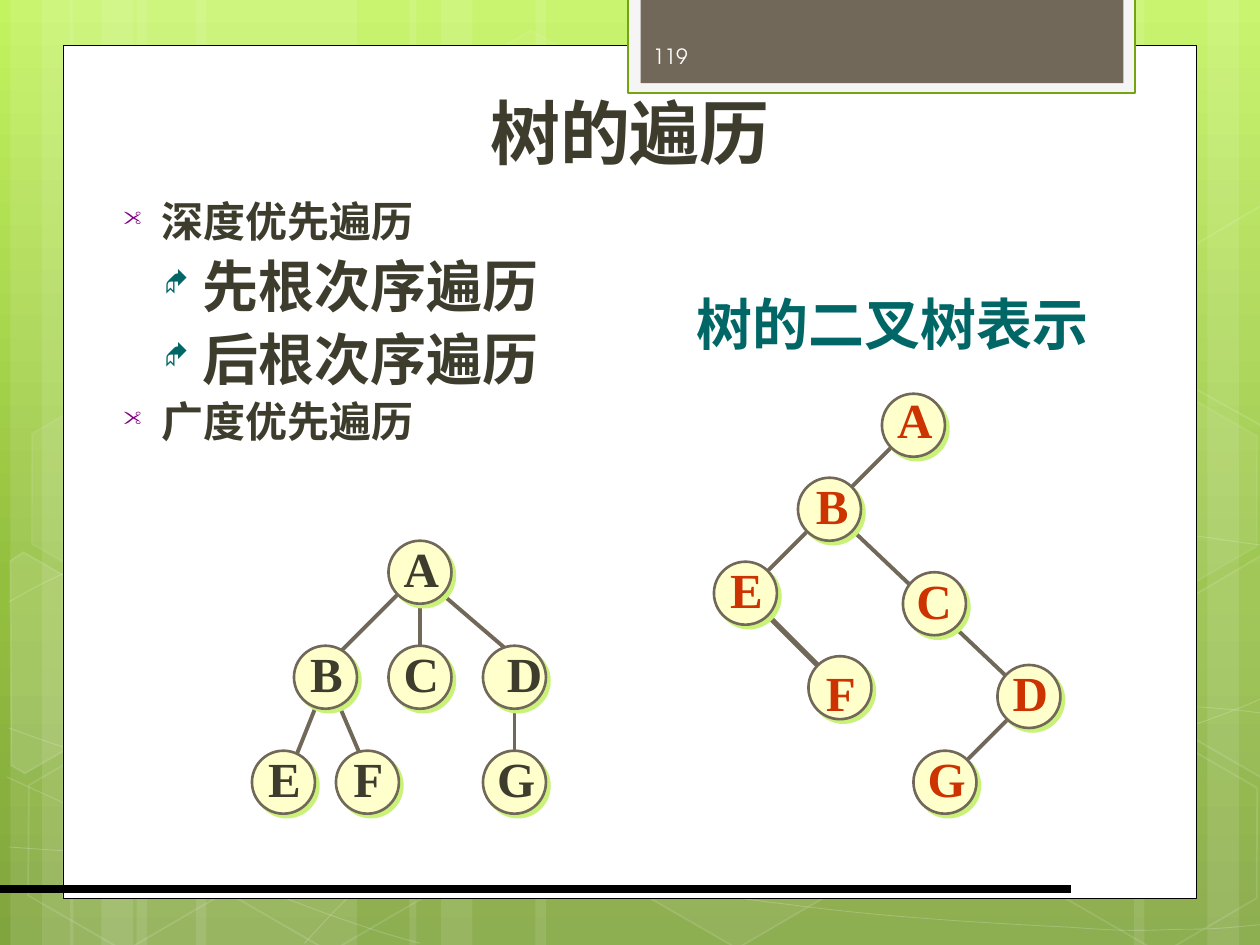
from math import cos, radians, sin

from lxml import etree
from pptx import Presentation
from pptx.dml.color import RGBColor
from pptx.enum.shapes import MSO_CONNECTOR, MSO_SHAPE
from pptx.enum.text import MSO_ANCHOR, PP_ALIGN
from pptx.oxml.ns import qn
from pptx.util import Pt

RECT, OVAL, HEXAGON = MSO_SHAPE.RECTANGLE, MSO_SHAPE.OVAL, MSO_SHAPE.HEXAGON
STRAIGHT = MSO_CONNECTOR.STRAIGHT
LEFT, CENTER = PP_ALIGN.LEFT, PP_ALIGN.CENTER
TOP, MIDDLE, BOTTOM = MSO_ANCHOR.TOP, MSO_ANCHOR.MIDDLE, MSO_ANCHOR.BOTTOM

SANS, SERIF = "TeX Gyre Adventor", "Times New Roman"
WHITE, BROWN, DARK, TEAL, RED = "FFFFFF", "71685A", "3E3D2D", "006666", "CC3300"
NODE = 36  # node diameter
TILT = 30  # rotation of the hexagons

# Background: (left, width) of the light strips
STRIPS = [(78, 126), (6, 36), (24, 60), (112, 126), (40, 36), (58, 60),
          (528, 126), (690, 36), (648, 60), (306, 222), (234, 36), (252, 60)]
# Start point, then three points for each Bezier segment
CURVES = [
    [(5, 484.5), (44, 487), (83, 489), (137, 488), (191, 487), (258, 486), (330, 479),
     (402, 472), (504, 458), (570, 444), (636, 431), (703, 409), (725, 397)],
    [(5, 343.5), (26, 332), (47, 321), (87, 310), (128, 300), (186, 284), (250, 279),
     (314, 274), (392, 273), (471, 279), (550, 284), (682, 307), (725, 312.5)],
    [(4, 444), (91, 484), (178, 523), (240, 539)],
    [(5, 416), (27, 424), (50, 432), (92, 443.5), (134, 454), (197, 472), (257, 484.5),
     (317, 497), (392, 510), (452, 517), (512, 525), (576, 528), (614, 530),
     (652, 533), (662, 531), (680, 531), (698, 531), (712, 529), (725, 528.5)],
    [(174, 539), (187, 525), (200, 510), (217, 497.5), (235, 485), (259, 470), (279, 460),
     (300, 450), (312, 446), (338, 438.5), (364, 431), (413, 421), (438, 416),
     (464, 411), (467, 411), (490, 409.5), (512, 407.5), (547, 405), (572, 404.5),
     (610, 404), (650, 404.5), (686, 404.5), (699, 405), (711, 406), (724, 407.5)],
]
# (left, top, fill opacity, line opacity)
HEXAGONS = [(240.5, 26, 4, 8), (358, 424, 6, 12), (8, 425.5, 0, 12), (10, 224.5, 7, 8),
            (125.5, 426, 0, 12), (542, 326, 10, 12), (600.5, 427, 0, 12), (600.5, 226, 7, 8)]
# Hexagons cut by the slide edge: (centre, corners as seen, fill opacity)
CUT_HEXAGONS = [
    ((25.9, 385.2), [(6, 320.5), (13.5, 315.5), (69, 347), (68.5, 410.5), (14.5, 442),
                     (6, 437)], 10),
    ((709.2, 374.4), [(666.5, 349), (720.5, 317.5), (726.5, 321), (726.5, 441.5),
                      (721.5, 444), (666.5, 412.5)], 4),
    ((709.2, 173.5), [(666.5, 149), (720.5, 117.5), (727, 121), (726.5, 241),
                      (721.5, 244), (666.5, 212.5)], 0),
]

# Trees: (letter, centre x, centre y, label shift x, label shift y)
TREE = [("A", 240, 327, 0.5, -2.5), ("B", 186, 387, 0.5, -2.5), ("C", 240, 387, 0.5, -2.5),
        ("D", 294, 387, 5.5, -2.5), ("E", 162, 447, 0.5, -2.5), ("F", 210, 447, 0.5, -2.5),
        ("G", 294, 447, 0, -2.5)]
BINARY_TREE = [("A", 522, 243, 0.5, -3.5), ("B", 474, 291, 1.5, -2.5),
               ("C", 534, 345, -0.5, -2), ("D", 588, 398, 0.5, -2.5),
               ("E", 426, 339, 0.5, -2.5), ("F", 480, 393, 0.5, 2.5),
               ("G", 540, 447, 0, -2.5)]
# (x1, y1, x2, y2, width)
EDGES = [(432, 345, 468, 381, 3), (582, 405, 546, 441, 2.25), (294, 399, 294, 435, 2.25),
         (192, 399, 210, 441, 2.25), (180, 405, 168, 435, 2.25), (252, 339, 294, 375, 2.25),
         (240, 345, 240, 375, 2.25), (228, 339, 192, 375, 2.25), (516, 249, 432, 333, 2.25),
         (486, 302, 582, 393, 2.25)]


def rgb(value):
    return RGBColor.from_string(value)


def add_alpha(fill_parent, percent):
    color = next(fill_parent.iter(qn("a:srgbClr")))
    etree.SubElement(color, qn("a:alpha"), val=str(percent * 1000))


def paint(sp, fill=None, line=None, width=1, fill_alpha=100, line_alpha=100):
    sp.shadow.inherit = False
    if fill and fill_alpha:
        sp.fill.solid()
        sp.fill.fore_color.rgb = rgb(fill)
        if fill_alpha < 100:
            add_alpha(sp._element.spPr.find(qn("a:solidFill")), fill_alpha)
    else:
        sp.fill.background()
    if line:
        sp.line.color.rgb = rgb(line)
        sp.line.width = Pt(width)
        if line_alpha < 100:
            add_alpha(sp._element.spPr.find(qn("a:ln")), line_alpha)
    else:
        sp.line.fill.background()


def add_shape(s, kind, x, y, w, h, **look):
    sp = s.shapes.add_shape(kind, Pt(x), Pt(y), Pt(w), Pt(h))
    paint(sp, **look)
    return sp


def add_outline(s, points, close, **look):
    builder = s.shapes.build_freeform(*points[0], scale=Pt(1))
    builder.add_line_segments(points[1:], close=close)
    sp = builder.convert_to_shape()
    paint(sp, **look)
    return sp


def add_curve(s, points, **look):
    sp = add_outline(s, points, False, **look)
    outline = next(sp._element.iter(qn("a:path")))
    steps = outline.findall(qn("a:lnTo"))
    for i in range(0, len(steps), 3):
        curve = etree.SubElement(outline, qn("a:cubicBezTo"))
        for step in steps[i:i + 3]:
            curve.append(step[0])
            outline.remove(step)


def turn_back(point, centre):
    dx, dy = point[0] - centre[0], point[1] - centre[1]
    c, n = cos(radians(TILT)), sin(radians(TILT))
    return centre[0] + dx * c + dy * n, centre[1] - dx * n + dy * c


def add_line(s, x1, y1, x2, y2, color, width):
    c = s.shapes.add_connector(STRAIGHT, Pt(x1), Pt(y1), Pt(x2), Pt(y2))
    c.line.color.rgb = rgb(color)
    c.line.width = Pt(width)
    etree.SubElement(c._element.spPr, qn("a:effectLst"))


def add_box(s, x, y, w, h, anchor=TOP, wrap=True):
    tf = s.shapes.add_textbox(Pt(x), Pt(y), Pt(w), Pt(h)).text_frame
    tf.word_wrap = wrap
    tf.vertical_anchor = anchor
    return tf


def write(p, text, size, color, font=SANS, bold=True, align=LEFT):
    p.alignment = align
    r = p.add_run()
    r.text = text
    r.font.size = Pt(size)
    r.font.name = font
    r.font.bold = bold
    r.font.color.rgb = rgb(color)


def add_bullet(p, char, color, margin):
    pPr = p._p.get_or_add_pPr()
    pPr.set("marL", str(Pt(margin)))
    pPr.set("indent", str(-Pt(21.6)))
    etree.SubElement(etree.SubElement(pPr, qn("a:buClr")), qn("a:srgbClr"), val=color)
    etree.SubElement(pPr, qn("a:buSzPct"), val="50000")
    etree.SubElement(pPr, qn("a:buFont"), typeface="Wingdings")
    etree.SubElement(pPr, qn("a:buChar"), char=char)


def add_node(s, letter, cx, cy, dx, dy, color):
    sp = add_shape(s, OVAL, cx - NODE / 2, cy - NODE / 2, NODE, NODE,
                   fill="FFFFCC", line=BROWN, width=1.5)
    effects = sp._element.spPr.find(qn("a:effectLst"))
    shadow = etree.SubElement(effects, qn("a:outerShdw"), dist=str(Pt(2.8)),
                              dir="2700000", algn="ctr", rotWithShape="0")
    etree.SubElement(shadow, qn("a:srgbClr"), val="CAF278")
    tf = add_box(s, cx + dx - 17, cy + dy - 20.5, 34, 41, MIDDLE, wrap=False)
    write(tf.paragraphs[0], letter, 28, color, font=SERIF, align=CENTER)


def add_background(s):
    fill = s.background.fill
    fill.gradient()
    fill.gradient_angle = 270
    stops = next(s._element.iter(qn("a:gsLst")))
    for stop in list(stops):
        stops.remove(stop)
    for pos, color in ((0, "C3F35F"), (62, "93BF3F"), (100, "81A53E")):
        stop = etree.SubElement(stops, qn("a:gs"), pos=str(pos * 1000))
        etree.SubElement(stop, qn("a:srgbClr"), val=color)
    for x, w in STRIPS:
        add_shape(s, RECT, x, 0, w, 540, fill=WHITE, fill_alpha=10)
    for points in CURVES:
        add_curve(s, points, line=WHITE, width=0.5, line_alpha=20)
    for x, y, fill_alpha, line_alpha in HEXAGONS:
        sp = add_shape(s, HEXAGON, x, y, 126, 109.5, fill=WHITE, line=WHITE,
                       fill_alpha=fill_alpha, line_alpha=line_alpha)
        sp.adjustments[0] = 0.285
        sp.rotation = TILT
    for centre, corners, fill_alpha in CUT_HEXAGONS:
        sp = add_outline(s, [turn_back(pt, centre) for pt in corners], True, fill=WHITE,
                         line=WHITE, fill_alpha=fill_alpha, line_alpha=12)
        sp.rotation = TILT


def main():
    prs = Presentation()
    prs.slide_width, prs.slide_height = Pt(720), Pt(540)
    s = prs.slides.add_slide(prs.slide_layouts[6])
    add_background(s)

    # White page, number tab and base line
    add_shape(s, RECT, 36, 26, 648, 487.2, fill=WHITE, line="000000", width=0.5)
    add_shape(s, RECT, 359, -1.5, 289.8, 54.5, fill="F5F5F5", line="74A510", width=1.25)
    add_shape(s, RECT, 366, -1.5, 276, 49, fill=BROWN)
    add_line(s, 0, 508, 612, 508, "000000", 4.5)

    # Texts
    write(add_box(s, 36, 36, 648, 66.5, BOTTOM).paragraphs[0], "树的遍历", 40, DARK, align=CENTER)
    tf = add_box(s, 57.6, 108.2, 648, 187)
    items = [("深度优先遍历", 0), ("先根次序遍历", 1), ("后根次序遍历", 1), ("广度优先遍历", 0)]
    for i, (text, level) in enumerate(items):
        p = tf.add_paragraph() if i else tf.paragraphs[0]
        size, char, color, margin = ((24, "•", "800080", 27.4), (32, "◆", TEAL, 50.8))[level]
        p.level = level
        if i:
            p.space_before = Pt(size / 10)
        add_bullet(p, char, color, margin)
        write(p, text, size, DARK)
    write(add_box(s, 366, 17.5, 105, 29, MIDDLE).paragraphs[0], "119", 12, "FEFEFE", bold=False)
    write(add_box(s, 391, 162, 246, 45).paragraphs[0], "树的二叉树表示", 32, TEAL, font=SERIF)

    # Trees
    for edge in EDGES:
        add_line(s, *edge[:4], BROWN, edge[4])
    for nodes, color in ((TREE, DARK), (BINARY_TREE, RED)):
        for node in nodes:
            add_node(s, *node, color)

    prs.save("out.pptx")


if __name__ == "__main__":
    main()
